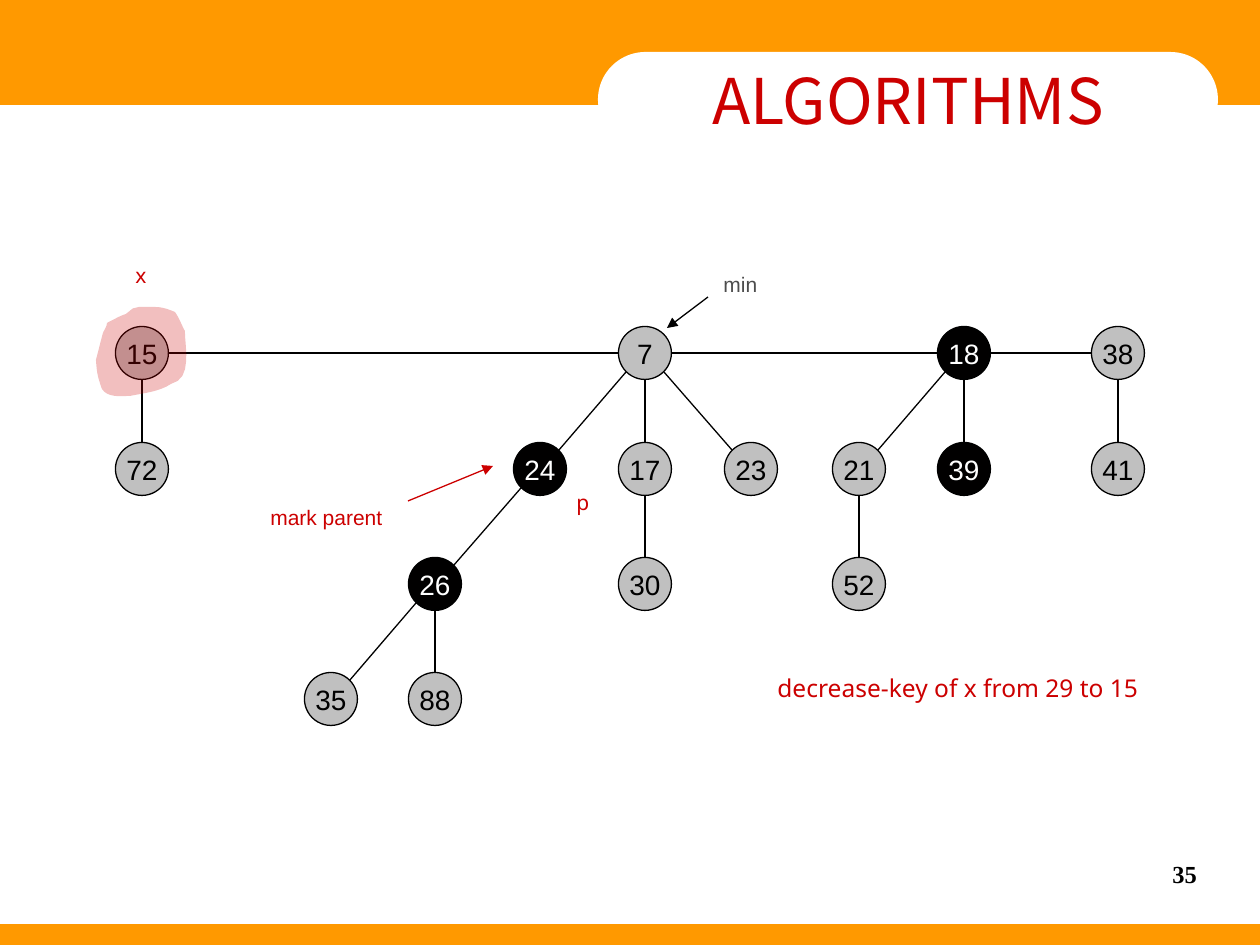
import pptx
import pptx.util
import pptx.dml.color
import pptx.enum.shapes
import pptx.enum.text
import pptx.oxml
import pptx.oxml.ns

SCALE = 914400 / 126  # EMU per px
SHAPES = pptx.enum.shapes.MSO_SHAPE
ALIGN = pptx.enum.text.PP_ALIGN
ANCHOR = pptx.enum.text.MSO_ANCHOR
FIT = pptx.enum.text.MSO_AUTO_SIZE
RGB = pptx.dml.color.RGBColor.from_string
THEME = {
    "orange": "FF9900", "white": "FFFFFF", "red": "CC0000", "black": "000000",
    "marked": "010000", "node": "C0C0C0", "grey": "4D4D4D",
    "title": 36, "key": 16, "note": 14, "label": 12, "line": 0.75,
    "title font": "Noto Sans CJK KR", "sans": "Arial",
    "note font": "Noto Sans", "serif": "Times New Roman",
}

presentation = pptx.Presentation()
presentation.slide_width = round(1260 * SCALE)
presentation.slide_height = round(945 * SCALE)
slide = presentation.slides.add_slide(presentation.slide_layouts[6])


def write(shape, text, size, font, color, frame_format, align, **font_format):
    frame = shape.text_frame
    for name, value in frame_format.items():
        setattr(frame, name, value)
    paragraph = frame.paragraphs[0]
    paragraph.alignment = align
    run = paragraph.add_run()
    run.text = text
    font_format.update(size=pptx.util.Pt(THEME[size]), name=THEME[font])
    for name, value in font_format.items():
        setattr(run.font, name, value)
    run.font.color.rgb = RGB(THEME[color])
    return paragraph


def draw_line(start, end, color="black", arrow=False):
    ends = [round(value * SCALE) for value in (*start, *end)]
    line = slide.shapes.add_connector(pptx.enum.shapes.MSO_CONNECTOR.STRAIGHT, *ends)
    line.line.color.rgb = RGB(THEME[color])
    line.line.width = pptx.util.Pt(THEME["line"])
    properties = line._element.spPr
    if arrow:
        pptx.oxml.ns.qn("a:tailEnd")
        tail = properties.find(pptx.oxml.ns.qn("a:ln")).makeelement(
            pptx.oxml.ns.qn("a:tailEnd"), {"type": "triangle"})
        properties.find(pptx.oxml.ns.qn("a:ln")).append(tail)
    properties.append(properties.makeelement(pptx.oxml.ns.qn("a:effectLst"), {}))


# Orange bars and the white title tab
for kind, color, box in [
    (SHAPES.RECTANGLE, "orange", (0, 924, 1260, 21)),
    (SHAPES.RECTANGLE, "orange", (0, 0, 1260, 105)),
    (SHAPES.ROUNDED_RECTANGLE, "white", (598, 52, 620, 95)),
]:
    band = slide.shapes.add_shape(kind, *[round(value * SCALE) for value in box])
    band.shadow.inherit = False
    band.fill.solid()
    band.fill.fore_color.rgb = RGB(THEME[color])
    band.line.fill.background()
title_tab = band
title_tab.adjustments[0] = 0.5
centred = {"word_wrap": False, "vertical_anchor": ANCHOR.MIDDLE}
write(title_tab, "ALGORITHMS", "title", "title font", "red", centred, ALIGN.CENTER)

# Slide number
page_number = slide.shapes.add_textbox(
    *[round(value * SCALE) for value in (903, 861, 294, 66)])
flush = {"word_wrap": True, "margin_left": 0, "margin_right": 0,
         "margin_top": 0, "margin_bottom": 0}
write(page_number, "35", "note", "serif", "black", flush, ALIGN.RIGHT,
      bold=True).line_spacing = 0.95

# Heap: key -> (centre x, level)
LEVELS = (353, 469, 584, 699)
DIAMETER = 53
nodes = {
    15: (142, 0), 7: (645, 0), 18: (964, 0), 38: (1118, 0),
    72: (142, 1), 24: (540, 1), 17: (645, 1), 23: (751, 1),
    21: (859, 1), 39: (964, 1), 41: (1118, 1),
    26: (435, 2), 30: (645, 2), 52: (859, 2),
    35: (331, 3), 88: (435, 3),
}
marked = {18, 24, 26, 39}
roots = [(15, 7), (7, 18), (18, 38)]
children = [(15, 72), (7, 24), (7, 17), (7, 23), (18, 21), (18, 39), (38, 41),
            (24, 26), (17, 30), (21, 52), (26, 35), (26, 88)]

# Edges leave and enter the circles straight or at 45 degrees
for first, second in roots + children:
    (x1, level1), (x2, level2) = nodes[first], nodes[second]
    y1, y2 = LEVELS[level1], LEVELS[level2]
    side_x, side_y = (x2 > x1) - (x2 < x1), (y2 > y1) - (y2 < y1)
    reach = 19 if side_x and side_y else 27
    draw_line((x1 + side_x * reach, y1 + side_y * reach),
              (x2 - side_x * reach, y2 - side_y * reach))

for key, (x, level) in nodes.items():
    box = (x - DIAMETER / 2, LEVELS[level] - DIAMETER / 2, DIAMETER, DIAMETER)
    node = slide.shapes.add_shape(SHAPES.OVAL, *[round(value * SCALE) for value in box])
    node.shadow.inherit = False
    node.fill.solid()
    node.fill.fore_color.rgb = RGB(THEME["marked" if key in marked else "node"])
    node.line.color.rgb = RGB(THEME["black"])
    node.line.width = pptx.util.Pt(THEME["line"])
    write(node, str(key), "key", "sans", "white" if key in marked else "black",
          centred, ALIGN.CENTER)

# Translucent highlight around x, sampled from cubic curves
highlight_start = (107, 323)
highlight_curves = [
    ((113, 320), (120, 316), (126, 314)), ((135, 307), (131, 309), (139, 307)),
    ((158, 307), (161, 306), (175, 312)), ((180, 319), (181, 324), (185, 331)),
    ((185, 347), (193, 379), (171, 384)), ((159, 392), (144, 393), (130, 396)),
    ((120, 396), (108, 398), (102, 389)), ((98, 377), (97, 375), (96, 360)),
    ((98, 352), (101, 341), (103, 333)), ((105, 329), (107, 326), (107, 323)),
]
STEPS, FINE = 8, 10
outline, current = [], highlight_start
for control1, control2, end in highlight_curves:
    for step in range(1, STEPS + 1):
        t = step / STEPS
        weights = ((1 - t) ** 3, 3 * t * (1 - t) ** 2, 3 * t * t * (1 - t), t ** 3)
        corners = (current, control1, control2, end)
        outline.append([FINE * sum(w * corner[axis] for w, corner in zip(weights, corners))
                        for axis in (0, 1)])
    current = end
builder = slide.shapes.build_freeform(
    *[FINE * value for value in highlight_start], scale=SCALE / FINE)
builder.add_line_segments(outline, close=True)
highlight = builder.convert_to_shape()
highlight.shadow.inherit = False
highlight.fill.solid()
highlight.fill.fore_color.rgb = RGB(THEME["red"])
highlight.line.fill.background()
red_fill = highlight._element.spPr.find(
    pptx.oxml.ns.qn("a:solidFill")).find(pptx.oxml.ns.qn("a:srgbClr"))
red_fill.append(red_fill.makeelement(pptx.oxml.ns.qn("a:alpha"), {"val": "25000"}))

# Labels and their arrows
fitted = {"word_wrap": False, "auto_size": FIT.SHAPE_TO_FIT_TEXT}
for text, size, font, color, box in [
    ("min", "label", "sans", "grey", (711, 265, 59, 38)),
    ("decrease-key of x from 29 to 15", "note", "note font", "red", (765, 667, 484, 43)),
    ("p", "label", "note font", "red", (564, 483, 38, 38)),
    ("x", "label", "note font", "red", (123, 256, 38, 38)),
    ("mark parent", "label", "sans", "red", (258, 498, 137, 38)),
]:
    label = slide.shapes.add_textbox(*[round(value * SCALE) for value in box])
    write(label, text, size, font, color, fitted, ALIGN.LEFT)
draw_line((708, 297), (667, 328), arrow=True)
draw_line((408, 501), (493, 466), "red", arrow=True)

presentation.save("out.pptx")
